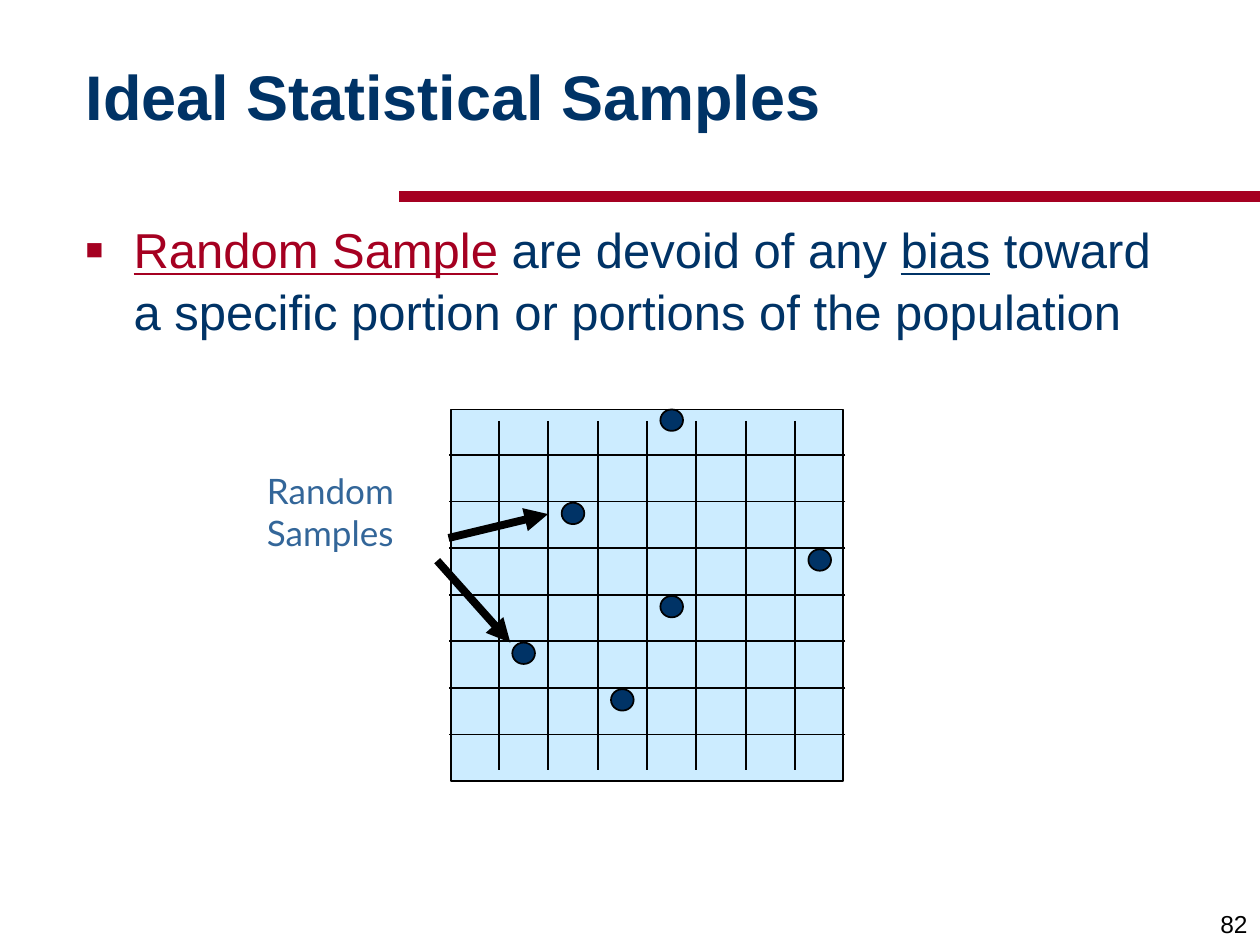
from lxml import etree
from pptx import Presentation
from pptx.dml.color import RGBColor
from pptx.enum.shapes import MSO_CONNECTOR, MSO_SHAPE
from pptx.enum.text import MSO_ANCHOR, MSO_AUTO_SIZE, PP_ALIGN
from pptx.oxml.ns import qn
from pptx.util import Inches, Pt

STRAIGHT = MSO_CONNECTOR.STRAIGHT
RECTANGLE, OVAL = MSO_SHAPE.RECTANGLE, MSO_SHAPE.OVAL
MIDDLE, BOTTOM = MSO_ANCHOR.MIDDLE, MSO_ANCHOR.BOTTOM
NO_AUTOFIT = MSO_AUTO_SIZE.NONE
LEFT, RIGHT = PP_ALIGN.LEFT, PP_ALIGN.RIGHT

COLORS = {
    "navy": "003366",
    "red": "A50021",
    "sky": "CCECFF",
    "steel": "336699",
    "black": "000000",
}

COLUMN, ROW = 2.35 / 6, 0.37
FIRST_COLUMN, FIRST_ROW = 3.96, 3.61
DOT_WIDTH, DOT_HEIGHT = 0.18, 0.17
SAMPLED_CELLS = [(7, 3), (1, 5), (4, 0), (3, 6), (4, 4), (2, 2)]  # column, row


def color(name):
    return RGBColor.from_string(COLORS[name])


class SlideBuilder:
    def __init__(self, slide, font="Arial"):
        self.slide = slide
        self.font = font

    def add_run(self, paragraph, text, color_name, **formats):
        run = paragraph.add_run()
        run.text = text
        run.font.color.rgb = color(color_name)
        for name, value in {"name": self.font, **formats}.items():
            setattr(run.font, name, value)

    def place(self, placeholder, left, top, width, height, **formats):
        """Move a placeholder, format its frame and return its first paragraph."""
        placeholder.left, placeholder.top = Inches(left), Inches(top)
        placeholder.width, placeholder.height = Inches(width), Inches(height)
        frame = placeholder.text_frame
        for name, value in {"auto_size": NO_AUTOFIT, **formats}.items():
            setattr(frame, name, value)
        return frame.paragraphs[0]

    def title(self, text):
        paragraph = self.place(self.slide.shapes.title, 0.58, 0.17, 8.92, 1.25,
                               vertical_anchor=MIDDLE)
        paragraph.alignment = LEFT
        paragraph.line_spacing = 0.9
        self.add_run(paragraph, text, "navy", size=Pt(36), bold=True)

    def bullet(self, pieces):
        paragraph = self.place(self.slide.placeholders[1], 0.58, 1.67, 8.92, 5)
        paragraph.line_spacing = 1.05
        paragraph.space_before = Pt(0)
        properties = paragraph._p.get_or_add_pPr()
        properties.set("marL", str(Inches(0.38)))
        properties.set("indent", str(-Inches(0.38)))
        bullet_color = etree.SubElement(properties, qn("a:buClr"))
        etree.SubElement(bullet_color, qn("a:srgbClr"), val=COLORS["red"])
        etree.SubElement(properties, qn("a:buSzPct"), val="60000")
        etree.SubElement(properties, qn("a:buFont"), typeface=self.font)
        etree.SubElement(properties, qn("a:buChar"), char="■")
        for text, color_name, underlined in pieces:
            self.add_run(paragraph, text, color_name, size=Pt(28), underline=underlined)

    def text(self, lines, left, top, width, height, color_name,
             anchor=None, align=LEFT, **formats):
        box = self.slide.shapes.add_textbox(
            Inches(left), Inches(top), Inches(width), Inches(height))
        frame = box.text_frame
        frame.word_wrap = False
        frame.vertical_anchor = anchor
        for index, line in enumerate(lines):
            paragraph = frame.add_paragraph() if index else frame.paragraphs[0]
            paragraph.alignment = align
            self.add_run(paragraph, line, color_name, **formats)

    def shape(self, preset, left, top, width, height, fill):
        shape = self.slide.shapes.add_shape(
            preset, Inches(left), Inches(top), Inches(width), Inches(height))
        shape.shadow.inherit = False
        shape.fill.solid()
        shape.fill.fore_color.rgb = color(fill)
        shape.line.color.rgb = color("black")
        shape.line.width = Pt(1)

    def line(self, x1, y1, x2, y2, color_name="black", width=1, arrow=False):
        connector = self.slide.shapes.add_connector(
            STRAIGHT, Inches(x1), Inches(y1), Inches(x2), Inches(y2))
        connector.line.color.rgb = color(color_name)
        connector.line.width = Pt(width)
        if arrow:
            etree.SubElement(connector.line._get_or_add_ln(), qn("a:tailEnd"),
                             type="triangle")
        etree.SubElement(connector._element.spPr, qn("a:effectLst"))


def draw_population(builder):
    builder.shape(RECTANGLE, 3.58, 3.25, 3.11, 2.95, "sky")
    for index in range(7):
        x = FIRST_COLUMN + index * COLUMN
        y = FIRST_ROW + index * ROW
        builder.line(x, 3.34, x, 6.11)
        builder.line(6.71, y, 3.56, y)
    builder.text(["Random", "Samples"], 2.02, 3.68, 1.22, 0.77, "steel",
                 name="Lato", size=Pt(20))
    for ends in [(3.47, 4.45, 4.05, 5.1), (3.56, 4.27, 4.35, 4.08)]:
        builder.line(*ends, width=4.5, arrow=True)
    for column, row in SAMPLED_CELLS:
        center = FIRST_COLUMN + (column - 0.5) * COLUMN
        builder.shape(OVAL, center - DOT_WIDTH / 2, 3.25 + row * ROW,
                      DOT_WIDTH, DOT_HEIGHT, "navy")


def main():
    deck = Presentation()
    deck.slide_width, deck.slide_height = Inches(10), Inches(7.5)
    builder = SlideBuilder(deck.slides.add_slide(deck.slide_layouts[1]))
    builder.line(3.17, 1.56, 10, 1.56, "red", 6)
    builder.text(["82"], 7.92, 7, 2.08, 0.5, "black",
                 anchor=BOTTOM, align=RIGHT, size=Pt(14))
    builder.title("Ideal Statistical Samples")
    builder.bullet([
        ("Random Sample", "red", True),
        (" are devoid of any ", "navy", False),
        ("bias", "navy", True),
        (" toward a specific portion or portions of the population", "navy", False),
    ])
    draw_population(builder)
    deck.save("out.pptx")


if __name__ == "__main__":
    main()
